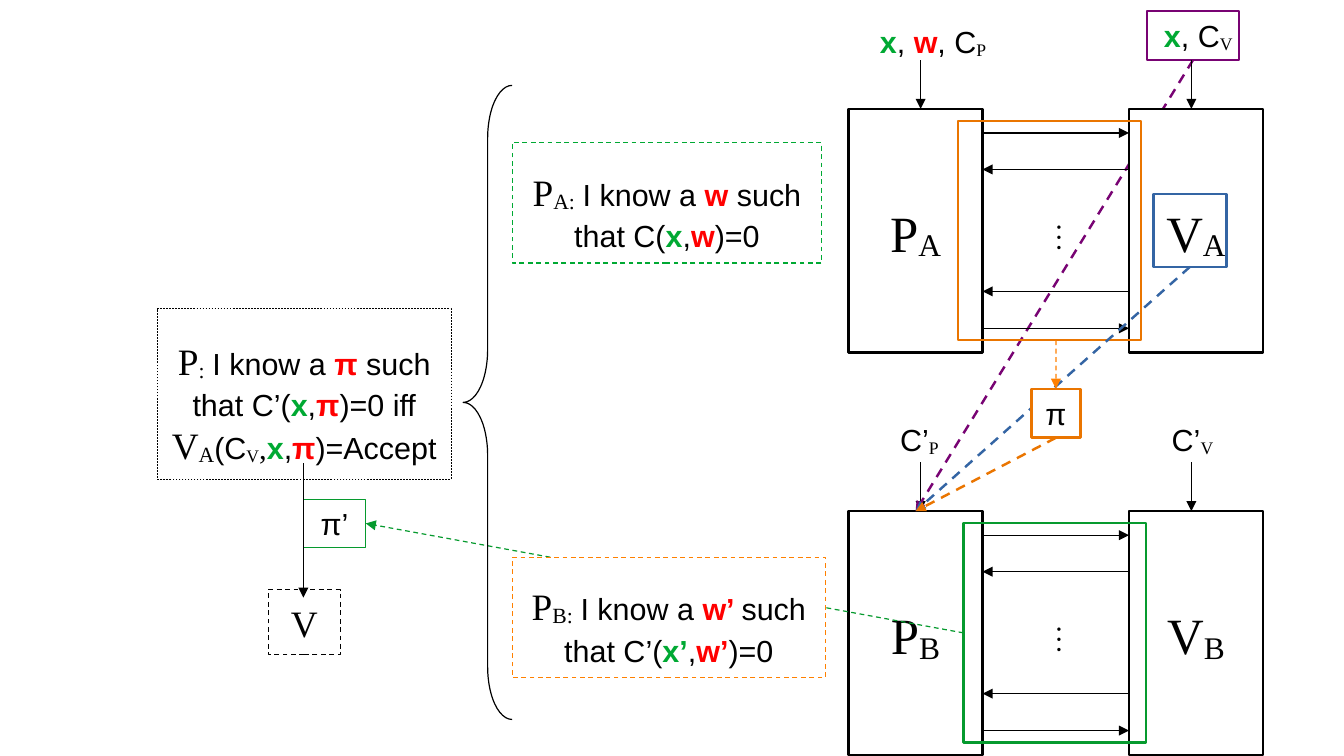
from lxml.etree import SubElement
from pptx import Presentation
from pptx.dml.color import RGBColor
from pptx.enum.dml import MSO_LINE
from pptx.enum.shapes import MSO_CONNECTOR, MSO_SHAPE
from pptx.enum.text import MSO_ANCHOR, PP_ALIGN
from pptx.oxml.ns import qn
from pptx.util import Cm, Pt

BLACK = RGBColor(0x00, 0x00, 0x00)
WHITE = RGBColor(0xFF, 0xFF, 0xFF)
GREEN = RGBColor(0x00, 0xA9, 0x33)
DEEP = RGBColor(0x06, 0x9A, 0x2E)
RED = RGBColor(0xFF, 0x00, 0x00)
AMBER = RGBColor(0xFF, 0x80, 0x00)
ORANGE = RGBColor(0xEA, 0x75, 0x00)
BLUE = RGBColor(0x34, 0x65, 0xA4)
PURPLE = RGBColor(0x78, 0x03, 0x73)

SANS, SERIF = "Arial", "Times New Roman"
THIN, THICK = 0.71, 1.45
TOP, LEFT, BOTTOM, RIGHT = range(4)

# font, size, colour, bold, lowered
STYLES = {
    "plain": (SANS, 18, BLACK, False, False),
    "public": (SANS, 18, GREEN, True, False),
    "secret": (SANS, 18, RED, True, False),
    "serif": (SERIF, 18, BLACK, False, False),
    "sub": (SERIF, 18, BLACK, False, True),
    "head": (SERIF, 22, BLACK, False, False),
    "headsub": (SERIF, 22, BLACK, False, True),
    "gap": (SERIF, 32, BLACK, False, True),
    "party": (SERIF, 30, BLACK, False, False),
    "role": (SERIF, 32, BLACK, False, True),
}


def write(shape, lines, align=PP_ALIGN.CENTER, wrap=True):
    """Fill a shape with lines, each a list of (text, style) runs."""
    frame = shape.text_frame
    frame.word_wrap = wrap
    frame.vertical_anchor = MSO_ANCHOR.MIDDLE
    for i, line in enumerate(lines):
        para = frame.add_paragraph() if i else frame.paragraphs[0]
        para.alignment = align
        for text, style in line:
            run = para.add_run()
            run.text = text
            font = run.font
            font.name, size, color, font.bold, low = STYLES[style]
            font.size = Pt(size)
            font.color.rgb = color
            if low:
                run._r.get_or_add_rPr().set("baseline", "-8000")


def stroke(line, color, width, dash):
    line.color.rgb = color
    line.width = Pt(width)
    if dash:
        line.dash_style = MSO_LINE.DASH


def draw(slide, box, color, width=THICK, dash=False, fill=None,
         kind=MSO_SHAPE.RECTANGLE):
    shape = slide.shapes.add_shape(kind, *map(Cm, box))
    shape.shadow.inherit = False
    if fill is None:
        shape.fill.background()
    else:
        shape.fill.solid()
        shape.fill.fore_color.rgb = fill
    stroke(shape.line, color, width, dash)
    return shape


def label(slide, box, line, align=PP_ALIGN.CENTER):
    write(slide.shapes.add_textbox(*map(Cm, box)), [line], align)


def arrow(slide, start, end, color=BLACK, width=THIN, dash=False):
    """Each end is an (x, y) point or a (shape, side) joint."""
    link = slide.shapes.add_connector(MSO_CONNECTOR.STRAIGHT, 0, 0, 0, 0)
    if hasattr(start[0], "shape_id"):
        link.begin_connect(*start)
    else:
        link.begin_x, link.begin_y = map(Cm, start)
    if hasattr(end[0], "shape_id"):
        link.end_connect(*end)
    else:
        link.end_x, link.end_y = map(Cm, end)
    stroke(link.line, color, width, dash)
    SubElement(link.line._get_or_add_ln(), qn("a:tailEnd"), type="triangle")
    SubElement(link._element.spPr, qn("a:effectLst"))


def panel(slide, left, top, role, color, shift):
    """Draw one prover and verifier pair; return the prover and the frame."""
    wide, high, span = 2.79, 5.08, 5.84
    near, far = left + wide, left + span
    parties = []
    for name, x, drop in (("P", left, 1.5), ("V", far, 1.3)):
        party = draw(slide, (x, top, wide, high), BLACK, fill=WHITE)
        write(party, [[(name, "party"), (role, "role")]])
        arrow(slide, (x + drop, top - 1.02), (x + drop, top))
        parties.append(party)
    for y, ends in ((0.5, (near, far)), (1.26, (far, near)),
                    (3.8, (far, near)), (4.57, (near, far))):
        start, end = ends
        arrow(slide, (start, top + y), (end, top + y))
    label(slide, (left + 4.06, top + 2.03, 0.76, 1.27),
          [("⋮", "serif")], PP_ALIGN.LEFT)
    frame = draw(slide, (left + shift, top + 0.25, 3.81, 4.57), color)
    return parties[0], frame


def claim(slide, box, role, secret, rest, color, width=THIN, fill=None):
    """Draw a dashed statement of what a prover knows."""
    shape = draw(slide, box, color, width, True, fill)
    first = [("P", "head"), (role + ":", "headsub"), (" ", "gap"),
             ("I know a ", "plain"), (secret + " ", "secret"),
             ("such", "plain")]
    write(shape, [first] + rest, wrap=False)


def goal(circuit, public, secret, tail):
    return [("that " + circuit + "(", "plain"), (public, "public"),
            (",", "plain"), (secret, "secret"), (tail, "plain")]


def result(slide, left, top):
    """Draw the combined claim, its proof and the verifier; return the proof."""
    check = [("V", "head"), ("A", "headsub"), ("(C", "plain"), ("V", "sub"),
             (",", "serif"), ("x", "public"), (",", "plain"),
             ("π", "secret"), (")=Accept", "plain")]
    claim(slide, (left, top, 6.12, 3.56), "", "π",
          [goal("C’", "x", "π", ")=0 iff"), check], BLACK, 0.25)
    proof = draw(slide, (left + 3.04, top + 3.98, 1.3, 0.99), DEEP, THIN)
    write(proof, [[("π’", "plain")]], wrap=False)
    judge = draw(slide, (left + 2.31, top + 5.86, 1.5, 1.35), BLACK, THIN, True)
    write(judge, [[("V", "head")]])
    arrow(slide, (left + 3.04, top + 3.22), (left + 3.04, top + 6.02))
    return proof


def inputs(slide):
    comma = (", ", "plain")
    public, secret = ("x", "public"), ("w", "secret")
    label(slide, (17.93, 0.25, 3.02, 1.24),
          [public, comma, secret, (", C", "plain"), ("P", "sub")])
    label(slide, (23.9, 0.18, 2.13, 1.12),
          [public, (", C", "plain"), ("V", "sub")])
    for x, role in ((18.34, "P"), (24.03, "V")):
        label(slide, (x, 8.6, 1.63, 1.12), [("C’", "plain"), (role, "sub")])


def main():
    deck = Presentation()
    deck.slide_width, deck.slide_height = Cm(28), Cm(15.75)
    slide = deck.slides.add_slide(deck.slide_layouts[6])
    left = 17.68

    prover, trace = panel(slide, left, 10.65, "B", DEEP, 2.39)
    proof = result(slide, 3.28, 6.43)
    arrow(slide, (trace, LEFT), (proof, RIGHT), DEEP, THIN, True)
    public = draw(slide, (23.9, 0.23, 1.91, 1.02), PURPLE)
    arrow(slide, (public, BOTTOM), (prover, TOP), PURPLE, THICK, True)

    panel(slide, left, 2.27, "A", ORANGE, 2.28)
    code = draw(slide, (24.03, 4.04, 1.52, 1.52), BLUE)
    arrow(slide, (code, BOTTOM), (prover, TOP), BLUE, THICK, True)
    inner = draw(slide, (21.49, 8.1, 1.02, 1.02), ORANGE, fill=WHITE)
    write(inner, [[("π", "plain")]], wrap=False)
    arrow(slide, (22, 7.09), (inner, TOP), AMBER, THIN, True)
    arrow(slide, (inner, BOTTOM), (prover, TOP), ORANGE, THICK, True)
    inputs(slide)

    claim(slide, (10.67, 2.97, 6.45, 2.51), "A", "w",
          [goal("C", "x", "w", ")=0")], GREEN)
    brace = draw(slide, (9.65, 1.78, 1.02, 13.21), BLACK, THIN,
                 kind=MSO_SHAPE.LEFT_BRACE)
    brace.adjustments[0] = 1.08
    claim(slide, (10.67, 11.61, 6.53, 2.51), "B", "w’",
          [goal("C’", "x’", "w’", ")=0")], AMBER, fill=WHITE)
    deck.save("out.pptx")


if __name__ == "__main__":
    main()
